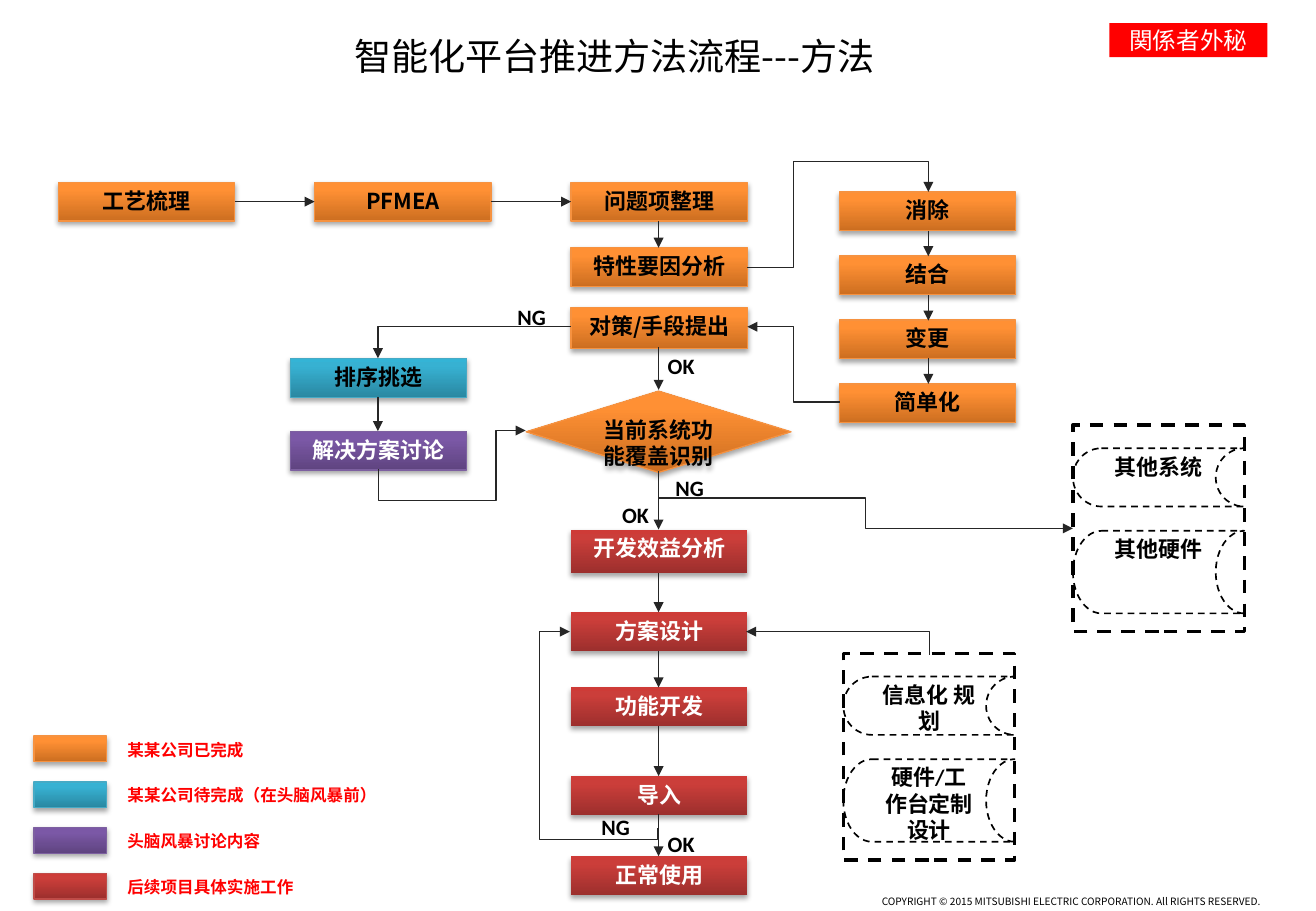
"""Build the flow chart slide for the smart platform rollout method."""
from copy import deepcopy
from dataclasses import dataclass
from typing import NamedTuple, Optional

from lxml.etree import SubElement
from pptx import Presentation
from pptx.dml.color import RGBColor
from pptx.enum.dml import MSO_LINE
from pptx.enum.shapes import MSO_CONNECTOR, MSO_SHAPE
from pptx.enum.text import MSO_ANCHOR, MSO_AUTO_SIZE, PP_ALIGN
from pptx.oxml.ns import qn
from pptx.util import Inches, Pt

BLACK = RGBColor(0x00, 0x00, 0x00)
WHITE = RGBColor(0xFF, 0xFF, 0xFF)
RED = RGBColor(0xFF, 0x00, 0x00)
ARROW = RGBColor(0x26, 0x26, 0x26)
CJK, CJK_JP, LATIN = "Noto Sans CJK SC", "Noto Sans CJK JP", "Calibri"
TIGHT = (0.08, 0.04, 0.08, 0.04)
NORMAL = (0.1, 0.05, 0.1, 0.05)
STEP_W, STEP_H = 1.45, 0.32
MAIN_X, MEASURE_X, REVIEW_X = 4.7, 6.91, 2.39
MAIN_MID, MEASURE_MID, REVIEW_MID = 5.42, 7.64, 3.11


class Status(NamedTuple):
    bottom: RGBColor
    middle: RGBColor
    top: RGBColor
    edge: RGBColor
    text: RGBColor
    font: str


def palette(bottom: str, middle: str, top: str, edge: str, text: RGBColor, font: str) -> Status:
    return Status(*map(RGBColor.from_string, (bottom, middle, top, edge)), text, font)


DONE = palette("CC6E20", "FF9034", "FF9136", "F69240", BLACK, CJK)
PENDING = palette("2A88A2", "37B1D2", "34B4D6", "46AAC5", BLACK, LATIN)
DISCUSSION = palette("5F4480", "7B58A6", "7C57A8", "7D60A0", WHITE, LATIN)
ROLLOUT = palette("9C2F2D", "CB3E3A", "CE3B37", "BF4C48", WHITE, LATIN)


@dataclass
class Step:
    text: str
    left: float
    top: float
    status: Status
    width: float = STEP_W
    height: float = STEP_H
    geometry: MSO_SHAPE = MSO_SHAPE.RECTANGLE


@dataclass
class Elbow:
    box: tuple
    bends: int
    turn: int = 0
    flips: str = ""
    adjust: tuple = ()


@dataclass
class Cluster:
    left: float
    top: float
    upper: str
    lower: str


STEPS = [
    Step("工艺梳理", 0.48, 1.5, DONE),
    Step("PFMEA", 2.59, 1.5, DONE),
    Step("问题项整理", MAIN_X, 1.5, DONE),
    Step("特性要因分析", MAIN_X, 2.04, DONE),
    Step("对策/手段提出", MAIN_X, 2.53, DONE, height=0.34),
    Step("当前系统功能覆盖识别", 4.33, 3.22, DONE, 2.18, 0.67, MSO_SHAPE.DIAMOND),
    Step("排序挑选", REVIEW_X, 2.95, PENDING),
    Step("解决方案讨论", REVIEW_X, 3.55, DISCUSSION),
    Step("开发效益分析", MAIN_X, 4.36, ROLLOUT, height=0.36),
    Step("方案设计", MAIN_X, 5.04, ROLLOUT),
    Step("功能开发", MAIN_X, 5.66, ROLLOUT),
    Step("导入", MAIN_X, 6.39, ROLLOUT),
    Step("正常使用", MAIN_X, 7.05, ROLLOUT),
] + [Step(measure, MEASURE_X, 1.58 + 0.527 * row, DONE)
     for row, measure in enumerate(("消除", "结合", "变更", "简单化"))]

ARROWS = [(1.93, 1.66, 2.59, 1.66), (4.04, 1.66, MAIN_X, 1.66)] + [
    (middle, start, middle, end) for middle, start, end in (
        (MAIN_MID, 1.82, 2.04), (MAIN_MID, 2.86, 3.21), (MAIN_MID, 3.88, 4.36),
        (MAIN_MID, 4.72, 5.04), (MAIN_MID, 5.36, 5.66), (MAIN_MID, 5.98, 6.39),
        (MAIN_MID, 6.7, 7.05), (REVIEW_MID, 3.27, 3.55),
        (MEASURE_MID, 1.9, 2.11), (MEASURE_MID, 2.43, 2.64), (MEASURE_MID, 2.95, 3.16))]

ELBOWS = [
    Elbow((4.24, 5.65, 1.62, 0.72), 4, 270, "V", (-0.057, 1.348)),
    Elbow((3.11, 2.69, 1.59, 0.26), 2, 180, "V"),
    Elbow((6.15, 1.58, 1.49, 0.62), 4, 0, "V", (0.257, 1.405)),
    Elbow((6.15, 2.69, 0.76, 0.62), 3, 180, "", (0.5,)),
    Elbow((3.56, 3.1, 0.32, 1.21), 4, 90, "HV", (-0.793, 0.799)),
    Elbow((6.8, 4.54, 0.19, 1.51), 2, 270, "V"),
    Elbow((5.42, 4.1, 3.41, 0.25), 3, 0, "", (0.5,)),
]

BRANCHES = [("NG", 4, 2.46, 0.75), ("OK", 4.88, 2.86, STEP_W), ("NG", 4.95, 3.87, STEP_W),
            ("OK", 5.03, 4.09, 0.4), ("NG", 4.69, 6.66, 0.75), ("OK", 4.88, 6.8, STEP_W)]

CLUSTERS = [Cluster(6.94, 5.38, "信息化 规划", "硬件/工作台定制设计"),
            Cluster(8.83, 3.5, "其他系统", "其他硬件")]

LEGEND = [(DONE, "某某公司已完成", 1.16), (PENDING, "某某公司待完成（在头脑风暴前）", 2.25),
          (DISCUSSION, "头脑风暴讨论内容", 1.3), (ROLLOUT, "后续项目具体实施工作", 1.57)]


def write(shape, text: str, *, size: float = 13, font: str = LATIN, asian: str = CJK,
          color: RGBColor = BLACK, bold: bool = True, align=PP_ALIGN.CENTER,
          anchor=MSO_ANCHOR.TOP, insets: tuple = TIGHT, wrap: bool = True,
          grow: bool = False) -> None:
    frame = shape.text_frame
    frame.word_wrap, frame.vertical_anchor = wrap, anchor
    frame.auto_size = MSO_AUTO_SIZE.SHAPE_TO_FIT_TEXT if grow else MSO_AUTO_SIZE.NONE
    (frame.margin_left, frame.margin_top,
     frame.margin_right, frame.margin_bottom) = map(Inches, insets)
    paragraph = frame.paragraphs[0]
    paragraph.alignment = align
    run = paragraph.add_run()
    run.text = text
    run.font.size, run.font.bold, run.font.name = Pt(size), bold, font
    run.font.color.rgb = color
    SubElement(run.font._element, qn("a:ea"), typeface=asian)


def add_label(slide, text: str, left: float, top: float, width: float, height: float,
              **style) -> None:
    write(slide.shapes.add_textbox(*map(Inches, (left, top, width, height))), text, **style)


def add_outline(slide, geometry: MSO_SHAPE, box: tuple):
    shape = slide.shapes.add_shape(geometry, *map(Inches, box))
    shape.shadow.inherit = False
    return shape


def add_block(slide, geometry: MSO_SHAPE, box: tuple, status: Status, edged: bool = True):
    block = add_outline(slide, geometry, box)
    block.fill.gradient()
    block.fill.gradient_angle = 90
    stop_list = block._element.spPr.find(qn("a:gradFill")).find(qn("a:gsLst"))
    stop_list.append(deepcopy(stop_list[-1]))
    for stop, position, color in zip(block.fill.gradient_stops, (0, 0.8, 1), status[:3]):
        stop.position, stop.color.rgb = position, color
    if edged:
        block.line.color.rgb, block.line.width = status.edge, Pt(0.75)
    else:
        block.line.fill.background()
    shade = SubElement(block._element.spPr.find(qn("a:effectLst")), qn("a:outerShdw"),
                       blurRad=str(Pt(3.1)), dist=str(Pt(1.8)), dir="5400000", rotWithShape="0")
    SubElement(SubElement(shade, qn("a:srgbClr"), val="000000"), qn("a:alpha"), val="35000")
    return block


def add_dashed(slide, geometry: MSO_SHAPE, box: tuple, weight: float):
    dashed = add_outline(slide, geometry, box)
    dashed.fill.background()
    dashed.line.color.rgb, dashed.line.width = BLACK, Pt(weight)
    dashed.line.dash_style = MSO_LINE.DASH
    return dashed


def add_arrow(slide, kind: MSO_CONNECTOR, ends: tuple):
    arrow = slide.shapes.add_connector(kind, *map(Inches, ends))
    arrow.line.color.rgb, arrow.line.width = ARROW, Pt(0.75)
    properties = arrow._element.spPr
    SubElement(properties.find(qn("a:ln")), qn("a:tailEnd"), type="triangle")
    SubElement(properties, qn("a:effectLst"))
    return arrow


def add_elbow(slide, elbow: Elbow) -> None:
    left, top, width, height = elbow.box
    arrow = add_arrow(slide, MSO_CONNECTOR.ELBOW, (left, top, left + width, top + height))
    frame = arrow._element.spPr.find(qn("a:xfrm"))
    frame.set("rot", str(elbow.turn * 60000))
    for axis in elbow.flips:
        frame.set(f"flip{axis}", "1")
    geometry = arrow._element.spPr.find(qn("a:prstGeom"))
    geometry.set("prst", f"bentConnector{elbow.bends}")
    guides = geometry.find(qn("a:avLst"))
    for number, value in enumerate(elbow.adjust, 1):
        SubElement(guides, qn("a:gd"), name=f"adj{number}", fmla=f"val {round(value * 100000)}")


def add_cluster(slide, cluster: Cluster) -> None:
    left, top = cluster.left, cluster.top
    add_dashed(slide, MSO_SHAPE.RECTANGLE, (left, top, 1.41, 1.7), 2)
    for text, offset, height in ((cluster.upper, 0.19, 0.48), (cluster.lower, 0.87, 0.68)):
        write(add_dashed(slide, MSO_SHAPE.FLOWCHART_STORED_DATA,
                         (left, top + offset, 1.41, height), 1), text)


def add_stamp(slide) -> None:
    stamp = add_outline(slide, MSO_SHAPE.RECTANGLE, (9.13, 0.19, 1.3, 0.28))
    stamp.fill.solid()
    stamp.fill.fore_color.rgb = RED
    stamp.line.fill.background()
    write(stamp, "関係者外秘", size=14, font=CJK_JP, asian=CJK_JP, color=WHITE, bold=False,
          anchor=MSO_ANCHOR.MIDDLE, insets=NORMAL, wrap=False)


def main(title: Optional[str] = "智能化平台推进方法流程---方法") -> None:
    deck = Presentation()
    deck.slide_width, deck.slide_height = Inches(10.83), Inches(7.5)
    slide = deck.slides.add_slide(deck.slide_layouts[6])
    add_label(slide, "COPYRIGHT © 2015 MITSUBISHI ELECTRIC CORPORATION. All RIGHTS RESERVED.",
              4.44, 7.35, 5.93, 0.12, size=6, font=CJK_JP, asian=CJK_JP, bold=False,
              align=PP_ALIGN.RIGHT, anchor=MSO_ANCHOR.BOTTOM, insets=(0, 0.04, 0, 0))
    add_stamp(slide)
    add_label(slide, title, 2.14, 0.23, 5.83, 0.47, size=22, font=CJK, bold=False,
              insets=NORMAL, grow=True)
    for step in STEPS:
        block = add_block(slide, step.geometry, (step.left, step.top, step.width, step.height),
                          step.status, edged=step.status is not ROLLOUT)
        write(block, step.text, font=step.status.font, color=step.status.text)
    for cluster in CLUSTERS:
        add_cluster(slide, cluster)
    for ends in ARROWS:
        add_arrow(slide, MSO_CONNECTOR.STRAIGHT, ends)
    for elbow in ELBOWS:
        add_elbow(slide, elbow)
    for text, left, top, width in BRANCHES:
        add_label(slide, text, left, top, width, STEP_H)
    for row, (status, meaning, width) in enumerate(LEGEND):
        top = 6.06 + 0.377 * row
        add_block(slide, MSO_SHAPE.RECTANGLE, (0.28, top, 0.6, 0.21), status)
        add_label(slide, meaning, 0.95, top - 0.02, width, 0.27, size=9.8, font=CJK, color=RED,
                  align=PP_ALIGN.LEFT, insets=NORMAL, wrap=False, grow=True)
    deck.save("out.pptx")


if __name__ == "__main__":
    main()
